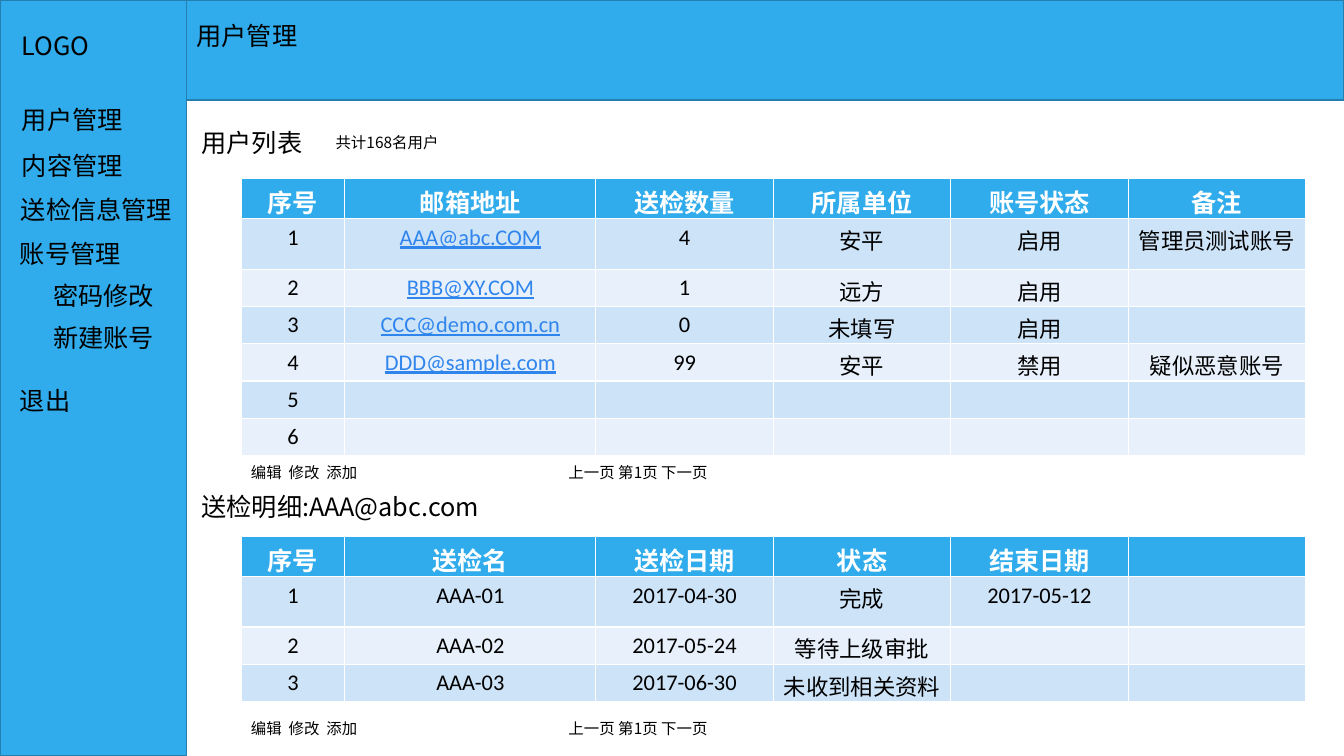
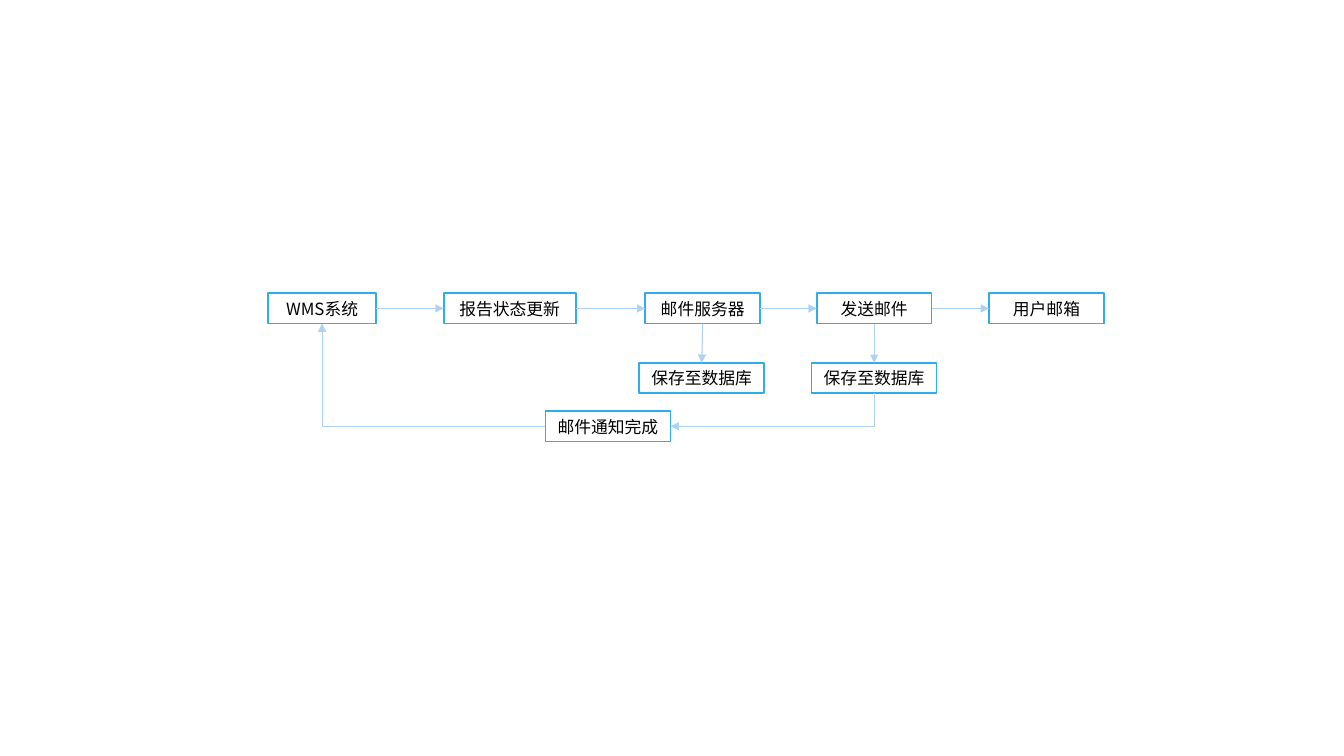
from lxml.etree import SubElement
from pptx import Presentation
from pptx.dml.color import RGBColor
from pptx.enum.shapes import MSO_CONNECTOR, MSO_SHAPE
from pptx.enum.text import MSO_ANCHOR, PP_ALIGN
from pptx.oxml.ns import qn
from pptx.util import Inches, Pt

BLUE = RGBColor(0x30, 0xAC, 0xEC)
DARK_BLUE = RGBColor(0x24, 0x7F, 0xAF)
ARROW_BLUE = RGBColor(0xAE, 0xD2, 0xF4)
LINK_BLUE = RGBColor(0x30, 0x85, 0xED)
ROW_FILLS = (RGBColor(0xCD, 0xE3, 0xF8), RGBColor(0xE8, 0xF1, 0xFB))
WHITE = RGBColor(0xFF, 0xFF, 0xFF)
BLACK = RGBColor(0x00, 0x00, 0x00)

TEXT_FONT = "Noto Sans CJK SC"
TABLE_FONT = "Calibri"

SLIDE_WIDTH, SLIDE_HEIGHT = 13.33, 7.5
SIDEBAR_WIDTH = 1.85
TOP, LEFT, BOTTOM, RIGHT = range(4)

MENU = [
    ("LOGO", 0.12, 0.25),
    ("用户管理", 0.12, 0.99),
    ("内容管理", 0.12, 1.44),
    ("送检信息管理", 0.11, 1.88),
    ("账号管理", 0.1, 2.32),
    ("密码修改", 0.43, 2.73),
    ("新建账号", 0.43, 3.15),
    ("退出", 0.1, 3.77),
]

COLUMN_WIDTHS = [1.03, 2.49] + [1.76] * 4
HEADER_HEIGHT, FIRST_ROW_HEIGHT, ROW_HEIGHT = 0.4, 0.5, 0.37
USERS = [
    ["序号", "邮箱地址", "送检数量", "所属单位", "账号状态", "备注"],
    ["1", "AAA@abc.COM", "4", "安平", "启用", "管理员测试账号"],
    ["2", "BBB@XY.COM", "1", "远方", "启用", ""],
    ["3", "CCC@demo.com.cn", "0", "未填写", "启用", ""],
    ["4", "DDD@sample.com", "99", "安平", "禁用", "疑似恶意账号"],
    ["5", "", "", "", "", ""],
    ["6", "", "", "", "", ""],
]
INSPECTIONS = [
    ["序号", "送检名", "送检日期", "状态", "结束日期", ""],
    ["1", "AAA-01", "2017-04-30", "完成", "2017-05-12", ""],
    ["2", "AAA-02", "2017-05-24", "等待上级审批", "", ""],
    ["3", "AAA-03", "2017-06-30", "未收到相关资料", "", ""],
]

BOX_HEIGHT = 0.3
FLOW_BOXES = {
    "system": ("WMS系统", 2.66, 2.91, 1.07),
    "update": ("报告状态更新", 4.4, 2.91, 1.31),
    "server": ("邮件服务器", 6.4, 2.91, 1.14),
    "send": ("发送邮件", 8.1, 2.91, 1.14),
    "mailbox": ("用户邮箱", 9.81, 2.91, 1.14),
    "server_store": ("保存至数据库", 6.34, 3.6, 1.24),
    "send_store": ("保存至数据库", 8.05, 3.6, 1.24),
    "done": ("邮件通知完成", 5.41, 4.08, 1.24),
}
STRAIGHT_ARROWS = [
    ("system", RIGHT, "update", LEFT),
    ("update", RIGHT, "server", LEFT),
    ("server", RIGHT, "send", LEFT),
    ("send", RIGHT, "mailbox", LEFT),
    ("server", BOTTOM, "server_store", TOP),
    ("send", BOTTOM, "send_store", TOP),
]


def write(text_frame, text, size=18, color=BLACK, font=TEXT_FONT, bold=False,
          underline=False, align=PP_ALIGN.LEFT):
    paragraph = text_frame.paragraphs[0]
    paragraph.alignment = align
    if not text:
        # An empty cell still needs its text size, or its row grows.
        SubElement(paragraph._p, qn("a:endParaRPr"), sz=str(size * 100))
        return
    run = paragraph.add_run()
    run.text = text
    run.font.name = font
    run.font.size = Pt(size)
    run.font.bold = bold
    run.font.underline = underline
    run.font.color.rgb = color
    if font == TEXT_FONT:
        SubElement(run._r.get_or_add_rPr(), qn("a:ea"), typeface=font)


def add_label(slide, text, left, top, width, height=0.4, **text_format):
    box = slide.shapes.add_textbox(Inches(left), Inches(top), Inches(width), Inches(height))
    box.text_frame.word_wrap = True
    write(box.text_frame, text, **text_format)


def add_box(slide, left, top, width, height, fill, line):
    box = slide.shapes.add_shape(
        MSO_SHAPE.RECTANGLE, Inches(left), Inches(top), Inches(width), Inches(height))
    box.shadow.inherit = False
    box.fill.solid()
    box.fill.fore_color.rgb = fill
    box.line.color.rgb = line
    box.line.width = Pt(1.25)
    return box


def add_sidebar(slide, left, top):
    add_box(slide, left, top, SIDEBAR_WIDTH, SLIDE_HEIGHT, BLUE, DARK_BLUE)
    for text, offset_x, offset_y in MENU:
        add_label(slide, text, left + offset_x, top + offset_y, 1.74)


def add_title_band(slide, title, left, top):
    add_box(slide, left, top, SLIDE_WIDTH - left, 0.99, BLUE, DARK_BLUE)
    add_label(slide, title, left, top + 0.15, 7.62)


def add_data_table(slide, rows, left, top, link_column=None):
    heights = [HEADER_HEIGHT, FIRST_ROW_HEIGHT] + [ROW_HEIGHT] * (len(rows) - 2)
    table = slide.shapes.add_table(
        len(rows), len(COLUMN_WIDTHS), Inches(left), Inches(top),
        Inches(sum(COLUMN_WIDTHS)), Inches(sum(heights))).table
    for column, width in zip(table.columns, COLUMN_WIDTHS):
        column.width = Inches(width)
    for row_index, (values, height) in enumerate(zip(rows, heights)):
        table.rows[row_index].height = Inches(height)
        is_header = row_index == 0
        for column_index, value in enumerate(values):
            is_link = column_index == link_column and not is_header
            cell = table.cell(row_index, column_index)
            cell.fill.solid()
            cell.fill.fore_color.rgb = BLUE if is_header else ROW_FILLS[(row_index - 1) % 2]
            color = WHITE if is_header else LINK_BLUE if is_link else BLACK
            write(cell.text_frame, value, size=18 if is_header else 16, color=color,
                  font=TABLE_FONT, bold=is_header, underline=is_link, align=PP_ALIGN.CENTER)


def add_table_footer(slide, left, top):
    add_label(slide, "编辑  修改  添加", left, top, 2, 0.29, size=11)
    add_label(slide, "上一页 第1页 下一页", left + 3.15, top, 3, 0.29, size=11)


def add_arrow(slide, start, start_side, end, end_side, elbow=False, arrow_end="tailEnd"):
    """Join two boxes; an elbow leaves its start horizontally and turns once."""
    kind = MSO_CONNECTOR.ELBOW if elbow else MSO_CONNECTOR.STRAIGHT
    connector = slide.shapes.add_connector(kind, 0, 0, 0, 0)
    connector.begin_connect(start, start_side)
    connector.end_connect(end, end_side)
    connector.line.color.rgb = ARROW_BLUE
    connector.line.width = Pt(0.75)
    properties = connector._element.spPr
    if elbow:
        properties.find(qn("a:prstGeom")).set("prst", "bentConnector2")
    SubElement(properties.find(qn("a:ln")), qn("a:" + arrow_end), type="triangle")
    SubElement(properties, qn("a:effectLst"))


def add_flow_box(slide, text, left, top, width):
    box = add_box(slide, left, top, width, BOX_HEIGHT, WHITE, BLUE)
    box.text_frame.vertical_anchor = MSO_ANCHOR.MIDDLE
    write(box.text_frame, text, size=12, align=PP_ALIGN.CENTER)
    return box


def build_user_management(slide):
    content_left, table_left = 1.9, 2.39
    add_sidebar(slide, 0, 0)
    add_title_band(slide, "用户管理", SIDEBAR_WIDTH, 0)
    add_label(slide, "用户列表", content_left, 1.21, 1.3)
    add_label(slide, "共计168名用户", 3.23, 1.27, 3, 0.29, size=11)
    add_data_table(slide, USERS, table_left, 1.77, link_column=1)
    add_table_footer(slide, table_left, 4.55)
    add_label(slide, "送检明细:AAA@abc.com", content_left, 4.83, 7.62)
    add_data_table(slide, INSPECTIONS, table_left, 5.32)
    add_table_footer(slide, table_left, 7.08)


def build_mail_flow(slide):
    boxes = {name: add_flow_box(slide, *box) for name, box in FLOW_BOXES.items()}
    for start, start_side, end, end_side in STRAIGHT_ARROWS:
        add_arrow(slide, boxes[start], start_side, boxes[end], end_side)
    add_arrow(slide, boxes["done"], RIGHT, boxes["send_store"], BOTTOM,
              elbow=True, arrow_end="headEnd")
    add_arrow(slide, boxes["done"], LEFT, boxes["system"], BOTTOM, elbow=True)


def main():
    presentation = Presentation()
    presentation.slide_width = Inches(SLIDE_WIDTH)
    presentation.slide_height = Inches(SLIDE_HEIGHT)
    blank_layout = presentation.slide_layouts[6]
    for build in (build_user_management, build_mail_flow):
        build(presentation.slides.add_slide(blank_layout))
    presentation.save("out.pptx")


if __name__ == "__main__":
    main()
